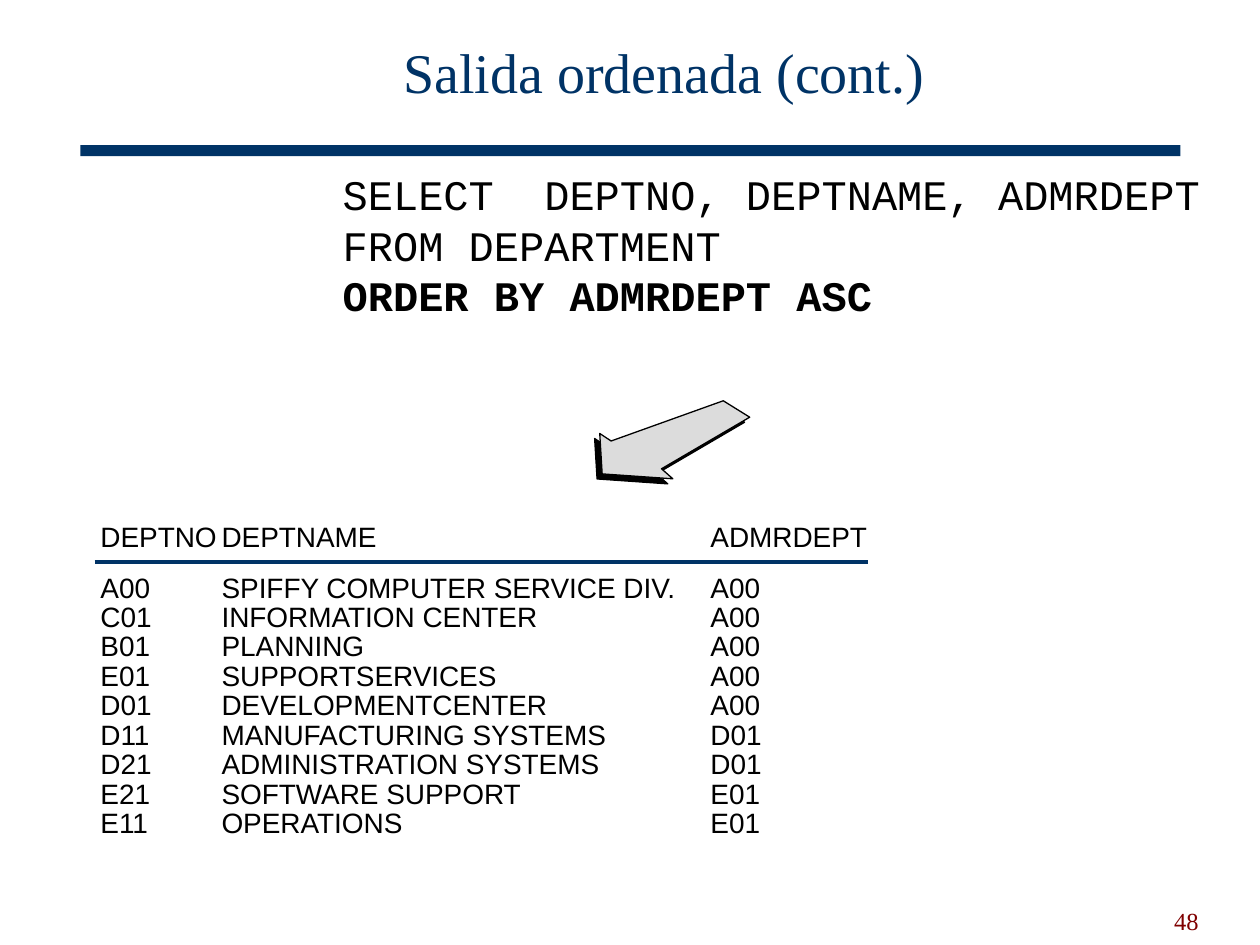
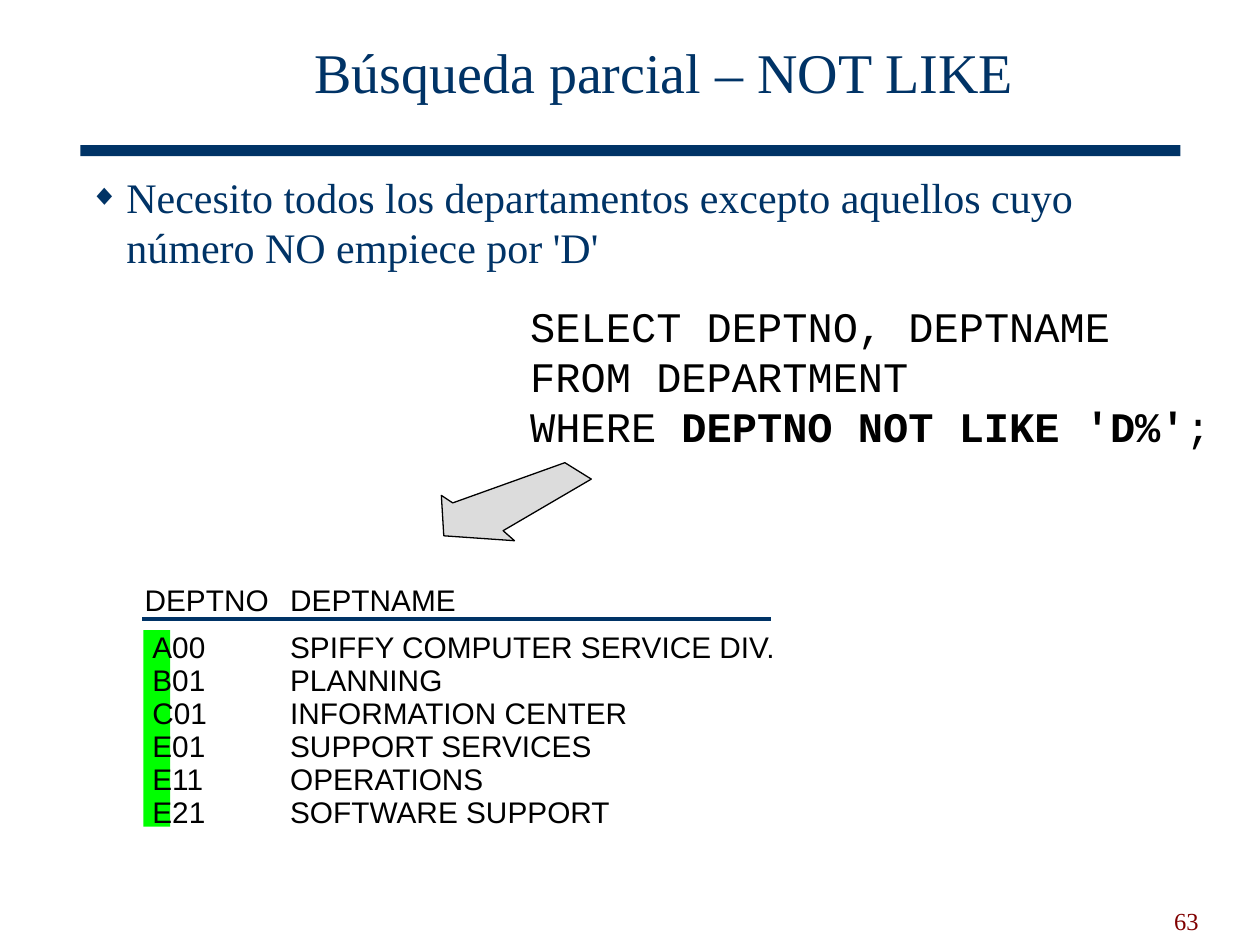
from lxml import etree
from pptx import Presentation
from pptx.dml.color import RGBColor
from pptx.enum.shapes import MSO_CONNECTOR, MSO_SHAPE
from pptx.enum.text import MSO_ANCHOR, MSO_AUTO_SIZE, PP_ALIGN
from pptx.oxml.ns import qn
from pptx.util import Pt

RECTANGLE = MSO_SHAPE.RECTANGLE
STRAIGHT = MSO_CONNECTOR.STRAIGHT
TOP, MIDDLE, BOTTOM = MSO_ANCHOR.TOP, MSO_ANCHOR.MIDDLE, MSO_ANCHOR.BOTTOM
LEFT, CENTER, RIGHT = PP_ALIGN.LEFT, PP_ALIGN.CENTER, PP_ALIGN.RIGHT
NO_AUTOFIT = MSO_AUTO_SIZE.NONE

NAVY, MAROON, BLACK = "003366", "800000", "000000"
ARROW_GREY, HIGHLIGHT = "DCDCDC", "00FF00"
SERIF, SANS, MONO = "Times New Roman", "Arial", "Courier New"
NO_STYLE_TABLE = "{2D5ABB26-0587-4C30-8999-92F81FD0307C}"
TITLE_AND_BODY, TITLE_ONLY = 1, 5

# Outline of the result arrow, from its top left corner
ARROW = [(85.7, 9.4), (70.6, 0), (6.5, 23), (0, 18.7),
         (1.4, 41.8), (41.8, 44.6), (35.3, 38.9)]


def color(hex_value):
    return RGBColor.from_string(hex_value)


class Deck:
    """Shared style plus the slide being built."""

    def __init__(self):
        self.presentation = Presentation()
        self.presentation.slide_width = Pt(720)
        self.presentation.slide_height = Pt(540)
        self.slide = None

    def start_slide(self, title, number, layout):
        layouts = self.presentation.slide_layouts
        self.slide = self.presentation.slides.add_slide(layouts[layout])
        self.rectangle(46, 83, 628.5, 6.2, NAVY)
        heading = self.frame(self.slide.shapes.title, 88.6, 10, 581.8, 67.7, MIDDLE)
        self.set_text(heading.paragraphs[0], title, SERIF, 32, NAVY, CENTER, 0.85)
        box = self.slide.shapes.add_textbox(0, 0, 0, 0)
        footer = self.frame(box, 519, 502, 173, 36, BOTTOM)
        self.set_text(footer.paragraphs[0], number, SERIF, 14, MAROON, RIGHT)

    def frame(self, shape, left, top, width, height, anchor=TOP, margins=(7.2, 3.6)):
        shape.left, shape.top = Pt(left), Pt(top)
        shape.width, shape.height = Pt(width), Pt(height)
        text = shape.text_frame
        text.word_wrap = True
        text.auto_size = NO_AUTOFIT
        text.vertical_anchor = anchor
        text.margin_left = text.margin_right = Pt(margins[0])
        text.margin_top = text.margin_bottom = Pt(margins[1])
        return text

    def set_text(self, paragraph, text, font, size, ink, align=LEFT, spacing=1.0):
        """Fill a paragraph; a list holds (text, bold) runs."""
        paragraph.alignment = align
        paragraph.line_spacing = spacing
        paragraph.space_before = Pt(0)
        runs = [(text, False)] if isinstance(text, str) else text
        for words, bold in runs:
            run = paragraph.add_run()
            run.text = words
            if bold:
                run.font.bold = True
        paragraph.font.name = font
        paragraph.font.size = Pt(size)
        paragraph.font.color.rgb = color(ink)

    def bullet(self, text):
        body = self.frame(self.slide.placeholders[1], 44, 94.3, 626.4, 386)
        paragraph = body.paragraphs[0]
        properties = paragraph._p.get_or_add_pPr()
        properties.set("marL", str(Pt(21)))
        properties.set("indent", str(-Pt(21)))
        tint = etree.SubElement(properties, qn("a:buClr"))
        etree.SubElement(tint, qn("a:srgbClr"), val=NAVY)
        etree.SubElement(properties, qn("a:buSzPct"), val="70000")
        etree.SubElement(properties, qn("a:buChar"), char="◆")
        self.set_text(paragraph, text, SERIF, 24, NAVY, spacing=Pt(28.6))

    def code(self, left, top, width, lines):
        box = self.slide.shapes.add_textbox(0, 0, 0, 0)
        query = self.frame(box, left, top, width, 86.4, margins=(0, 0))
        for index, line in enumerate(lines):
            paragraph = query.add_paragraph() if index else query.paragraphs[0]
            self.set_text(paragraph, line, MONO, 24, BLACK, spacing=Pt(28.8))

    def rectangle(self, left, top, width, height, fill):
        shape = self.slide.shapes.add_shape(
            RECTANGLE, Pt(left), Pt(top), Pt(width), Pt(height))
        shape.shadow.inherit = False
        shape.fill.solid()
        shape.fill.fore_color.rgb = color(fill)
        shape.line.fill.background()

    def arrow(self, left, top, fill=ARROW_GREY):
        points = [(Pt(left + x), Pt(top + y)) for x, y in ARROW]
        builder = self.slide.shapes.build_freeform(*points[0])
        builder.add_line_segments(points[1:], close=True)
        shape = builder.convert_to_shape()
        shape.shadow.inherit = False
        shape.fill.solid()
        shape.fill.fore_color.rgb = color(fill)
        shape.line.color.rgb = color(BLACK)
        shape.line.width = Pt(0.75)

    def rule(self, left, right, y):
        line = self.slide.shapes.add_connector(
            STRAIGHT, Pt(left), Pt(y), Pt(right), Pt(y))
        line.line.color.rgb = color(NAVY)
        line.line.width = Pt(2.25)
        etree.SubElement(line.element.spPr, qn("a:effectLst"))

    def result_table(self, left, top, widths, rows, size, header_height, pitch,
                     code_indent=0):
        heights = [header_height] + [pitch] * (len(rows) - 1)
        graphic = self.slide.shapes.add_table(
            len(rows), len(widths), Pt(left), Pt(top), Pt(sum(widths)), Pt(sum(heights)))
        graphic.element.xpath(".//a:tableStyleId")[0].text = NO_STYLE_TABLE
        table = graphic.table
        table.first_row = table.horz_banding = False
        for column, width in zip(table.columns, widths):
            column.width = Pt(width)
        for r, (row, height) in enumerate(zip(rows, heights)):
            table.rows[r].height = Pt(height)
            for c, value in enumerate(row):
                cell = table.cell(r, c)
                cell.fill.background()
                cell.margin_top = cell.margin_bottom = cell.margin_right = 0
                cell.margin_left = Pt(code_indent if r and c == 0 else 0)
                self.set_text(cell.text_frame.paragraphs[0], value, SANS, size, BLACK,
                              spacing=Pt(pitch))


def ordered_output(deck):
    deck.start_slide("Salida ordenada (cont.)", "48", TITLE_ONLY)
    deck.code(195.8, 96.5, 507.6, [
        "SELECT  DEPTNO, DEPTNAME, ADMRDEPT",
        "FROM DEPARTMENT",
        [("ORDER BY ADMRDEPT ASC", True)],
    ])

    # Arrow over its hard shadow
    deck.arrow(339.8, 231.9, BLACK)
    deck.arrow(342.7, 229)

    # Query result
    departments = [
        ("DEPTNO", "DEPTNAME", "ADMRDEPT"),
        ("A00", "SPIFFY COMPUTER SERVICE DIV.", "A00"),
        ("C01", "INFORMATION CENTER", "A00"),
        ("B01", "PLANNING", "A00"),
        ("E01", "SUPPORTSERVICES", "A00"),
        ("D01", "DEVELOPMENTCENTER", "A00"),
        ("D11", "MANUFACTURING SYSTEMS", "D01"),
        ("D21", "ADMINISTRATION SYSTEMS", "D01"),
        ("E21", "SOFTWARE SUPPORT", "E01"),
        ("E11", "OPERATIONS", "E01"),
    ]
    deck.result_table(57.4, 299.2, [69.2, 279.4, 100], departments, 16, 29.1, 16.8)
    deck.rule(54, 496, 321)


def partial_search(deck):
    deck.start_slide("Búsqueda parcial – NOT LIKE", "63", TITLE_AND_BODY)
    deck.bullet("Necesito todos los departamentos excepto aquellos cuyo "
                "número NO empiece por 'D'")
    deck.code(303, 171.5, 400, [
        "SELECT DEPTNO, DEPTNAME",
        "FROM DEPARTMENT",
        [("WHERE", False), (" DEPTNO NOT LIKE 'D%'", True), (";", False)],
    ])
    deck.arrow(252.2, 264.4)

    # Query result, first letters highlighted
    departments = [
        ("DEPTNO", "DEPTNAME"),
        ("A00", "SPIFFY COMPUTER SERVICE DIV."),
        ("B01", "PLANNING"),
        ("C01", "INFORMATION CENTER"),
        ("E01", "SUPPORT SERVICES"),
        ("E11", "OPERATIONS"),
        ("E21", "SOFTWARE SUPPORT"),
    ]
    deck.rectangle(82, 360, 15.2, 112.4, HIGHLIGHT)
    deck.result_table(82.6, 334.2, [83.2, 300], departments, 17, 26.9, 18.86,
                      code_indent=4.5)
    deck.rule(81.3, 440.6, 353.6)


def main():
    deck = Deck()
    ordered_output(deck)
    partial_search(deck)
    deck.presentation.save("out.pptx")


if __name__ == "__main__":
    main()
